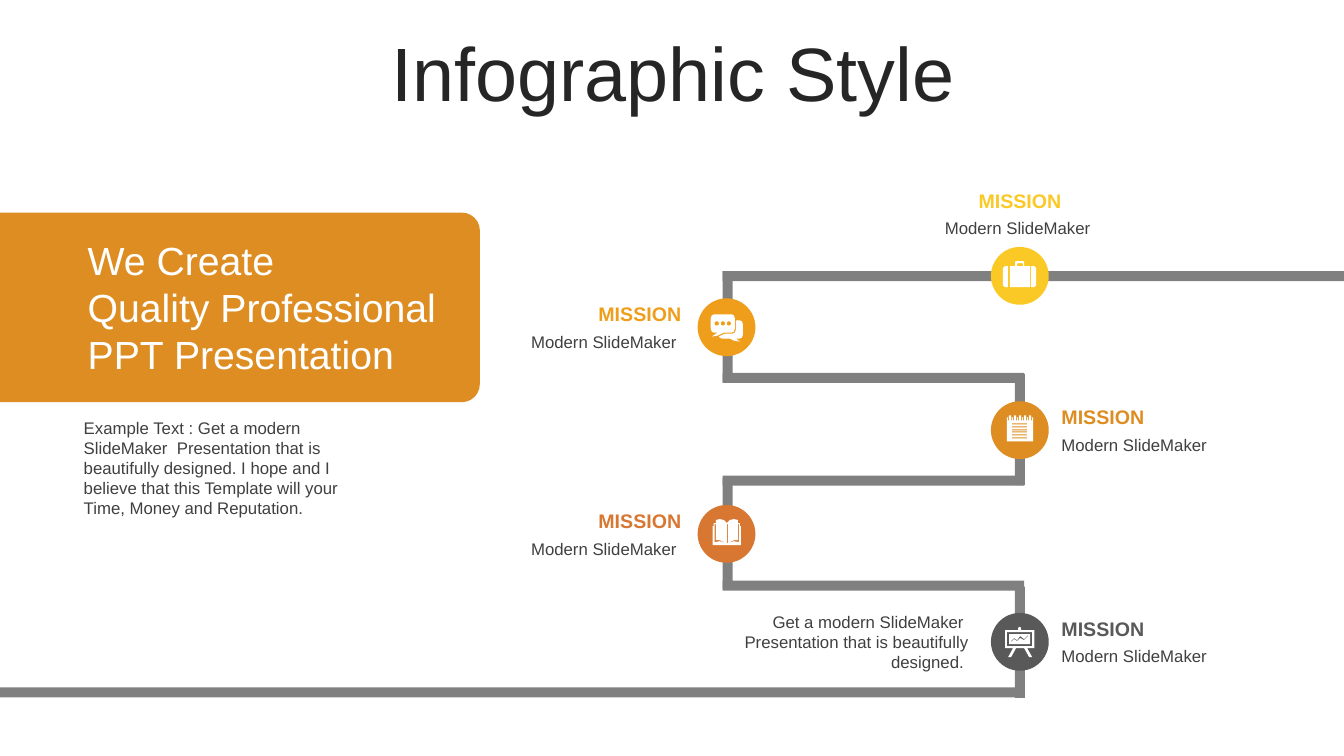
from pptx import Presentation
from pptx.dml.color import RGBColor
from pptx.enum.shapes import MSO_SHAPE
from pptx.enum.text import MSO_ANCHOR, PP_ALIGN
from pptx.util import Pt

HUES = {
    "title": "262626", "text": "404040", "track": "808080", "white": "FFFFFF",
    "panel": "DE8D22", "yellow": "FAC926", "amber": "EF9E1B",
    "rust": "D87732", "grey": "595959",
}
LEFT, MID, RIGHT = PP_ALIGN.LEFT, PP_ALIGN.CENTER, PP_ALIGN.RIGHT
DISC = 41.3
UNIT = 0.72


class Deck:
    font = "Arial"

    def __init__(self, width, height):
        self.prs = Presentation()
        self.prs.slide_width, self.prs.slide_height = Pt(width), Pt(height)
        self.slide = self.prs.slides.add_slide(self.prs.slide_layouts[6])
        self.shapes = self.slide.shapes

    def paint(self, shape, hue):
        shape.shadow.inherit = False
        shape.fill.solid()
        shape.fill.fore_color.rgb = RGBColor.from_string(HUES[hue])
        shape.line.fill.background()
        return shape

    def block(self, kind, box, hue):
        return self.paint(self.shapes.add_shape(kind, *map(Pt, box)), hue)

    def text(self, words, box, size, hue, align=LEFT, bold=False,
             anchor=MSO_ANCHOR.TOP, side=0, space=None):
        frame = self.shapes.add_textbox(*map(Pt, box)).text_frame
        frame.word_wrap = True
        frame.vertical_anchor = anchor
        frame.margin_left = frame.margin_right = Pt(side)
        frame.margin_top = frame.margin_bottom = Pt(0)
        para = frame.paragraphs[0]
        para.alignment = align
        if space:
            para.line_spacing = space
        run = para.add_run()
        run.text = words
        run.font.name, run.font.size, run.font.bold = self.font, Pt(size), bold
        run.font.color.rgb = RGBColor.from_string(HUES[hue])

    def icon(self, rings, left, top):
        first, *rest = rings
        pen = self.shapes.build_freeform(*first[0], scale=Pt(UNIT))
        pen.add_line_segments(first[1:], close=True)
        for ring in rest:
            pen.move_to(*ring[0])
            pen.add_line_segments(ring[1:], close=True)
        self.paint(pen.convert_to_shape(Pt(left), Pt(top)), "white")

    def node(self, left, top, hue, rings, label, align):
        self.block(MSO_SHAPE.OVAL, (left, top, DISC, DISC), hue)
        self.icon(rings, left, top)
        x, y = label
        words = "Modern SlideMaker" + ("" if align == LEFT else " ")
        self.text("MISSION", (x, y, 129.6, 17), 14, hue, align, True, MSO_ANCHOR.MIDDLE)
        self.text(words, (x, y + 21.2, 129.6, 14.4), 12, "text", align,
                  anchor=MSO_ANCHOR.MIDDLE)


def rect(left, top, right, low):
    return [(left, top), (right, top), (right, low), (left, low)]


def dot(x, y):
    return [(x - 2, y - 1), (x - 1, y - 2), (x + 1, y - 2), (x + 2, y - 1),
            (x + 2, y + 1), (x + 1, y + 2), (x - 1, y + 2), (x - 2, y + 1)]


def flip(ring, axis):
    return [(2 * axis - x, y) for x, y in ring]


SIDE = [(14, 19), (17, 19), (17, 40), (14, 40), (12, 38), (12, 21)]
CASE = [
    SIDE,
    flip(SIDE, 28.5),
    [(19, 19), (24, 19), (24, 15), (25, 14), (32, 14), (33, 15), (33, 19),
     (39, 19), (39, 40), (19, 40)],
    [(26, 19), (26, 17), (27, 16), (31, 16), (32, 17), (32, 19)],
]
CHAT = [
    [(16, 16), (34, 16), (36, 17), (37, 20), (37, 30), (36, 33), (34, 34),
     (26, 34), (20, 37), (14, 38), (20, 34), (16, 34), (14, 33), (13, 30),
     (13, 20), (14, 17)],
    [(38, 22), (42, 22), (44, 23), (45, 26), (45, 36), (44, 39), (42, 40),
     (38, 40), (42, 43), (36, 42), (32, 40), (24, 40), (22, 39), (21, 38),
     (27, 35), (35, 35), (37, 34), (38, 31)],
    *[dot(x, 25) for x in (19, 25, 31)],
]
PAD = [
    rect(16, 16, 42, 40),
    *[rect(21, y, 36, y + 1) for y in (22, 25, 28, 30, 33, 36)],
    *[rect(x - 2, 16, x + 2, 19) for x in range(19, 40, 5)],
    *[rect(x - 1, 14, x + 1, 19) for x in range(19, 40, 5)],
]
EDGE = [(17, 19), (18, 19), (18, 35), (22, 35), (29, 38), (22, 36), (17, 37)]
BOOK = [
    [(15, 21), (16, 21), (16, 18), (18, 18), (18, 15), (22, 14), (26, 15),
     (29, 18), (32, 15), (36, 14), (40, 15), (40, 18), (42, 18), (42, 21),
     (43, 21), (43, 40), (15, 40)],
    EDGE,
    flip(EDGE, 29),
    rect(29, 19, 30, 38),
]
BOARD = [
    [(14, 17), (27, 17), (27, 15), (28, 14), (29, 14), (30, 15), (30, 17),
     (43, 17), (43, 35), (36, 35), (41, 44), (38, 44), (33, 35), (25, 35),
     (20, 44), (17, 44), (22, 35), (14, 35)],
    rect(16, 19, 41, 33),
    rect(18, 21, 39, 31),
    [(20, 28), (23, 25), (26, 27), (29, 23), (33, 26), (37, 22), (37, 23),
     (33, 27), (29, 25), (26, 28), (23, 26), (20, 29)],
]


def main():
    deck = Deck(960, 540)
    deck.text("Infographic Style", (25.2, 26.6, 911.5, 56.9), 54, "title", MID,
              anchor=MSO_ANCHOR.MIDDLE, side=7.2, space=0.9)

    panel = deck.block(MSO_SHAPE.ROUND_2_SAME_RECTANGLE,
                       (103.7, 48.2, 135.4, 342.7), "panel")
    panel.adjustments[0], panel.adjustments[1] = 0.095, 0
    panel.rotation = 90

    near, far, thick = 516.2, 725, 7.2
    bars = [(near, 193.7, 443.8), (near, 266.4, 215.3), (near, 339.8, 215.3),
            (near, 414.7, 215.3), (0, 491, 727.2)]
    for x, y, width in bars:
        deck.block(MSO_SHAPE.RECTANGLE, (x, y, width, thick), "track")
    for x, y in [(near, 193.7), (far, 267.1), (near, 341.3), (far, 419)]:
        deck.block(MSO_SHAPE.RECTANGLE, (x, y, thick, 79.5), "track")

    west, east = 498.3, 707.8
    deck.node(east, 176.4, "yellow", CASE, (663.8, 134.6), MID)
    stops = [(west, 213.1, "amber", CHAT), (east, 286.6, "panel", PAD),
             (west, 360.7, "rust", BOOK), (east, 437.8, "grey", BOARD)]
    for x, y, hue, rings in stops:
        place, align = (357.1, RIGHT) if x == west else (758.2, LEFT)
        deck.node(x, y, hue, rings, (place, y + 2.6), align)

    lines = ["We Create", "Quality Professional", "PPT Presentation"]
    for i, words in enumerate(lines):
        deck.text(words, (59.8, 172.1 + 33.9 * i, 266.4, 30.2), 28, "white",
                  side=2.9, space=Pt(30))
    deck.text("Example Text : Get a modern SlideMaker  Presentation that is "
              "beautifully designed. I hope and I believe that this Template "
              "will your Time, Money and Reputation.",
              (59.8, 298.1, 184.3, 72.7), 12, "text")
    deck.text("Get a modern SlideMaker  Presentation that is beautifully designed. ",
              (530.6, 437, 161.3, 43.9), 12, "text", RIGHT)
    deck.prs.save("out.pptx")


if __name__ == "__main__":
    main()
